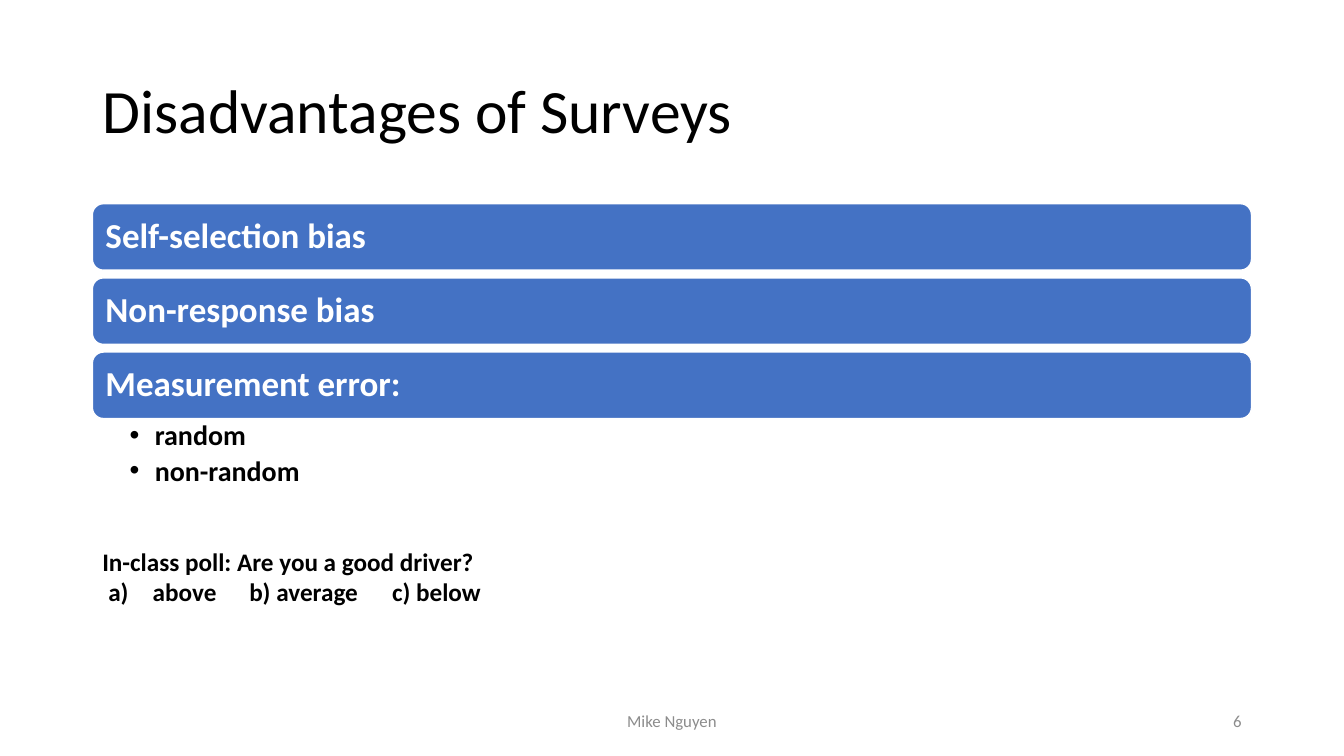
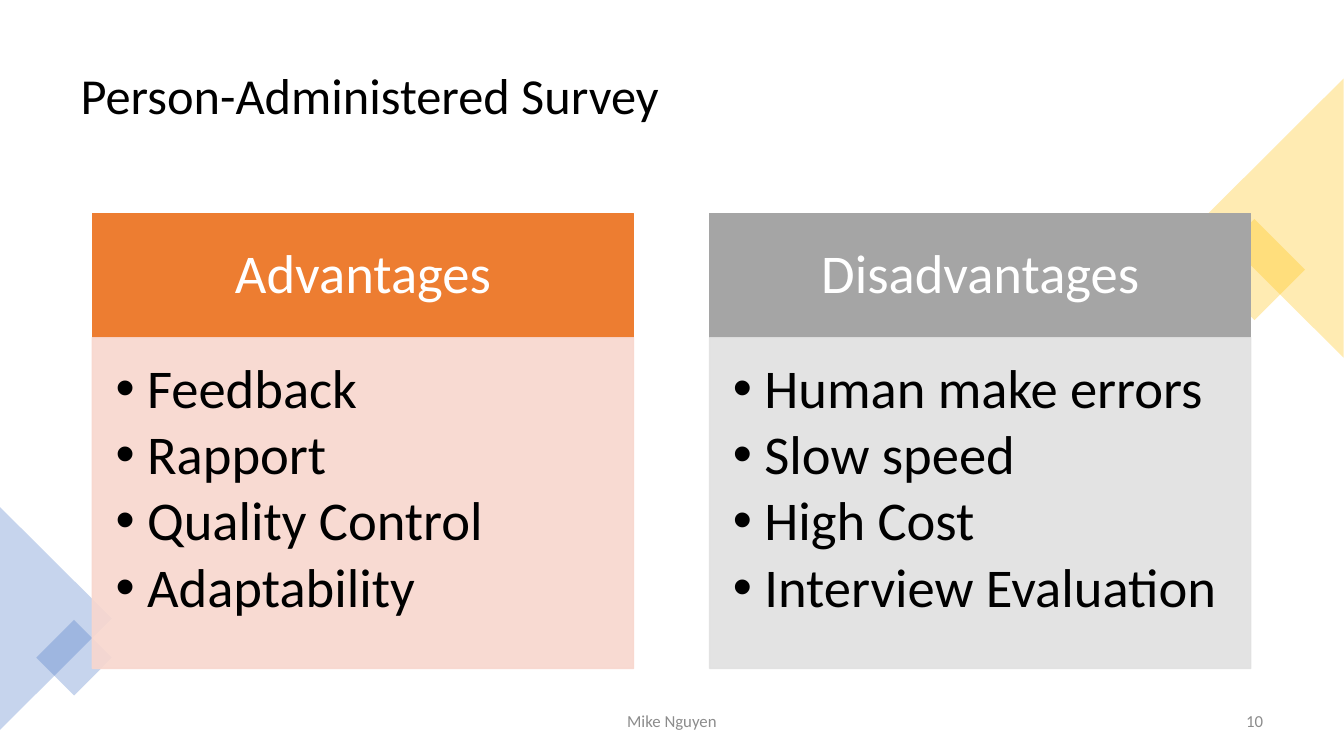
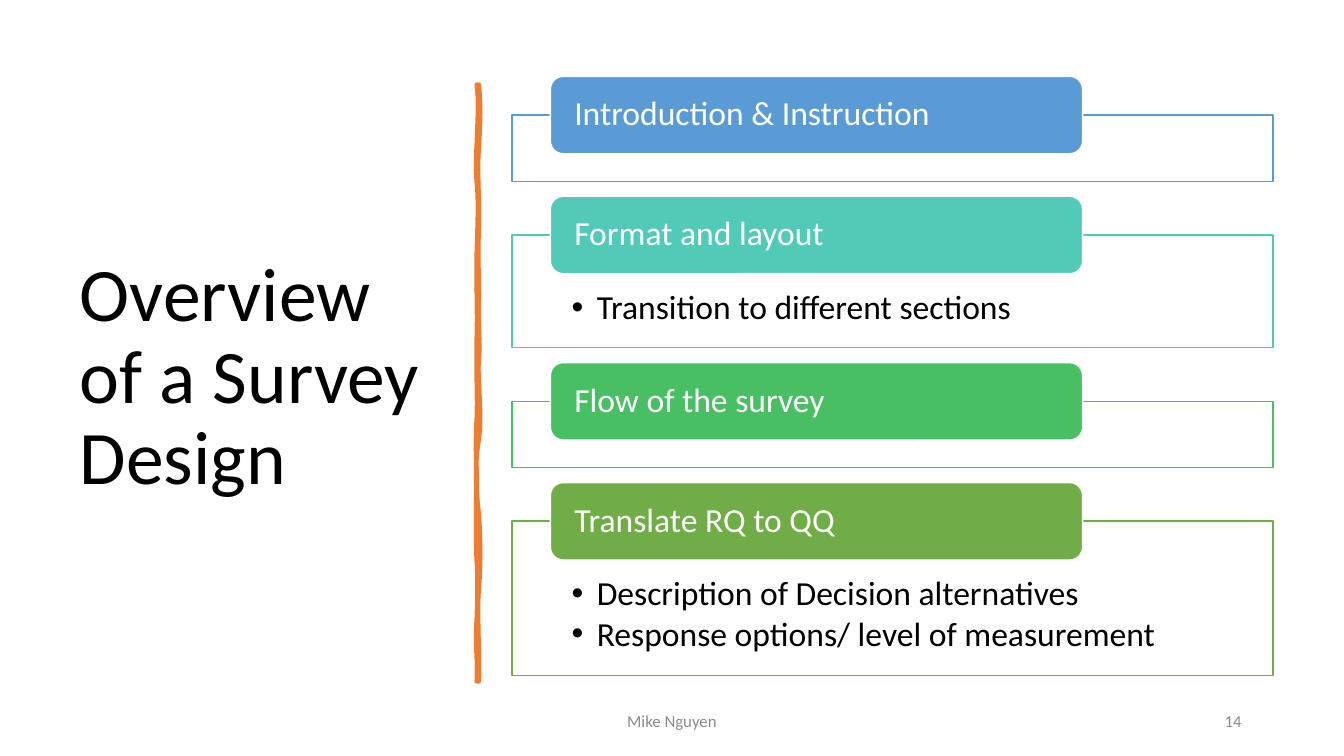
from dataclasses import dataclass

from lxml import etree
from pptx import Presentation
from pptx.dml.color import RGBColor
from pptx.enum import shapes, text
from pptx.oxml import ns
from pptx.util import Pt

RECT = shapes.MSO_SHAPE.RECTANGLE
ROUNDED = shapes.MSO_SHAPE.ROUNDED_RECTANGLE
TRIANGLE = shapes.MSO_SHAPE.ISOSCELES_TRIANGLE
LEFT, CENTER, RIGHT = text.PP_ALIGN.LEFT, text.PP_ALIGN.CENTER, text.PP_ALIGN.RIGHT
TOP, MIDDLE = text.MSO_ANCHOR.TOP, text.MSO_ANCHOR.MIDDLE


@dataclass(frozen=True)
class Theme:
    font: str = "Calibri"
    ink: str = "000000"
    paper: str = "FFFFFF"
    muted: str = "8C8C8C"
    blue: str = "4472C4"
    orange: str = "ED7D31"
    orange_tint: str = "F8D7CE"
    gray: str = "A5A5A5"
    gray_tint: str = "E1E1E1"
    gold: str = "FFC000"
    sections: tuple = ("5B9BD5", "52CAB8", "49BF64", "70AD47")
    title: float = 44
    title_small: float = 36
    title_large: float = 54
    panel: float = 39
    band: float = 25
    section: float = 24
    item: float = 20
    poll: float = 18
    footer: float = 12


THEME = Theme()
AUTHOR = "Mike Nguyen"


# Formatting helpers
def set_all(target, **values):
    for name, value in values.items():
        setattr(target, name, value)


def points(*lengths):
    return [Pt(length) for length in lengths]


def add_xml(parent, tag, **attributes):
    return etree.SubElement(parent, ns.qn(tag), attributes)


def set_fill(shape, color, opacity=100):
    shape.fill.solid()
    shape.fill.fore_color.rgb = RGBColor.from_string(color)
    set_opacity(shape.fill, opacity, shape._element.spPr.find(ns.qn("a:solidFill")))


def set_opacity(fill, opacity, solid):
    if opacity < 100:
        add_xml(solid[0], "a:alpha", val=str(opacity * 1000))


def set_line(shape, color, width=1, opacity=100):
    if color is None:
        shape.line.fill.background()
        return
    shape.line.color.rgb = RGBColor.from_string(color)
    shape.line.width = Pt(width)
    line = shape._element.spPr.find(ns.qn("a:ln"))
    set_opacity(shape.line.fill, opacity, line.find(ns.qn("a:solidFill")))


def set_frame(shape, anchor=MIDDLE, insets=(7.2, 3.6, 7.2, 3.6)):
    left, top, right, bottom = points(*insets)
    set_all(shape.text_frame, word_wrap=True, auto_size=text.MSO_AUTO_SIZE.NONE,
            vertical_anchor=anchor, margin_left=left, margin_top=top,
            margin_right=right, margin_bottom=bottom)


def set_marker(para, indent, hanging, tag, **attributes):
    properties = para._p.get_or_add_pPr()
    properties.set("marL", str(Pt(indent)))
    properties.set("indent", str(-Pt(hanging)))
    add_xml(properties, "a:buFont", typeface="Arial")
    add_xml(properties, tag, **attributes)


def write(shape, lines, size, color=THEME.ink, bold=False, align=LEFT,
          spacing=0.9, gap=0, bullet=0):
    """Fill a shape with paragraphs; bullet is the hanging indent."""
    box = shape.text_frame
    for number, line in enumerate(lines):
        para = box.add_paragraph() if number else box.paragraphs[0]
        if bullet:
            set_marker(para, bullet, bullet, "a:buChar", char="•")
        set_all(para, alignment=align, line_spacing=spacing,
                space_before=Pt(0), space_after=Pt(gap))
        span = para.add_run()
        span.text = line
        set_all(span.font, name=THEME.font, size=Pt(size), bold=bold)
        span.font.color.rgb = RGBColor.from_string(color)


# Element builders
def add_block(page, kind, place, fill, line=None, opacity=100, rotation=0):
    block = page.shapes.add_shape(kind, *points(*place))
    block.shadow.inherit = False
    block.rotation = rotation
    set_fill(block, fill, opacity)
    set_line(block, line, opacity=opacity if line == fill else 100)
    return block


def add_text(page, place, lines, size, anchor=MIDDLE, insets=(7.2, 3.6, 7.2, 3.6), **style):
    box = page.shapes.add_textbox(*points(*place))
    set_frame(box, anchor, insets)
    write(box, lines, size, **style)
    return box


def add_page(deck, title, place, size, number, number_left=678):
    page = deck.slides.add_slide(deck.slide_layouts[5])
    heading = page.shapes.title
    names = ("left", "top", "width", "height")
    set_all(heading, **dict(zip(names, points(*place))))
    set_frame(heading)
    write(heading, [title], size)
    footer = {"size": THEME.footer, "color": THEME.muted, "spacing": 1}
    add_text(page, (318, 500.4, 324, 28.8), [AUTHOR], align=CENTER, **footer)
    add_text(page, (number_left, 500.4, 216, 28.8), [str(number)], align=RIGHT, **footer)
    return page


def add_label(page, place, label, size, fill, inset, bold=False):
    tab = add_block(page, ROUNDED, place, fill, THEME.paper)
    set_frame(tab, insets=(inset, 0, inset, 0))
    write(tab, [label], size, THEME.paper, bold)


def add_panel(page, left, heading, items, color, tint):
    head = add_block(page, RECT, (left, 152.6, 386.6, 88.6), color, color)
    set_frame(head)
    write(head, [heading], THEME.panel, THEME.paper, align=CENTER)
    body = add_block(page, RECT, (left, 241.2, 386.6, 236.2), tint, tint, 90)
    set_frame(body, TOP, (16.6, 16.6, 21.6, 24.6))
    write(body, items, THEME.panel, gap=5.3, bullet=22.5)


def add_section(page, top, height, label, items, color):
    frame = add_block(page, RECT, (365.8, top, 543.6, height), THEME.paper, color, 90)
    set_frame(frame, TOP, (42.5, 39.6, 42.5, 13.7))
    write(frame, items, THEME.section, gap=3, bullet=18)
    add_label(page, (393.1, top - 27.6, 380.2, 55.3), label, THEME.section, color, 14.4)


def trace_edge(x, y, curves, steps=6):
    """Sample cubic curves whose ends all lie on the vertical at x."""
    trail = [(x, y)]
    for bend_1, y_1, bend_2, y_2, end in curves:
        for step in range(1, steps + 1):
            t = step / steps
            a, b, c, d = (1 - t) ** 3, 3 * t * (1 - t) ** 2, 3 * t * t * (1 - t), t ** 3
            trail.append((x + b * bend_1 + c * bend_2, a * y + b * y_1 + c * y_2 + d * end))
        y = end
    return trail


def add_brush_stroke(page):
    right_edge = trace_edge(342, 60.5, [
        (1.4, 73.4, 1.4, 85.7, 105.1), (-1.4, 124.6, 0.7, 140.4, 162.7),
        (-0.7, 185, 0, 188.6, 211.7), (-0.7, 234, 1.4, 246.2, 256.3),
        (-1.4, 266.4, 2.9, 298.1, 313.9), (-2.9, 329, -2.2, 348.5, 367.2),
        (1.4, 385.9, 1.4, 406.1, 420.5), (-1.4, 434.2, 0.7, 468, 486.7)])
    left_edge = trace_edge(340.6, 486.7, [
        (0.7, 465.1, -1.4, 463.7, 441.4), (0.7, 419.8, 0.7, 410.4, 401),
        (-0.7, 391.7, -0.7, 356.4, 343.4), (0, 330.5, -1.4, 320.4, 298.8),
        (0.7, 277.9, -0.7, 268.6, 241.2), (0.7, 214.6, -0.7, 202.3, 180),
        (0.7, 157, 1.4, 144, 130.3), (-2.2, 117.4, 2.9, 74.9, 60.5)])
    start, *rest = [points(*spot) for spot in right_edge + left_edge]
    builder = page.shapes.build_freeform(*start)
    builder.add_line_segments(rest, close=True)
    stroke = builder.convert_to_shape()
    stroke.shadow.inherit = False
    set_fill(stroke, THEME.orange)
    set_line(stroke, THEME.orange, 3.25)
    add_xml(stroke._element.spPr.find(ns.qn("a:ln")), "a:round")


# Slides
def build_disadvantages(deck):
    page = add_page(deck, "Disadvantages of Surveys", (66, 28.8, 828, 104.4), THEME.title, 6)
    for row, label in enumerate(("Self-selection bias", "Non-response bias", "Measurement error:")):
        add_label(page, (66, 145.5 + 53 * row, 828, 47.5), label,
                  THEME.band, THEME.blue, 7.2, bold=True)
    add_text(page, (66, 298.8, 828, 54), ["random", "non-random"], THEME.item, TOP,
             (26.6, 2.2, 13.7, 2.2), bold=True, gap=3.7, bullet=18)

    # Poll question with its options on tab stops
    poll = add_text(page, (66, 386.6, 828, 51),
                    ["In-class poll: Are you a good driver?", "above\tb) average\tc) below"],
                    THEME.poll, TOP, bold=True, spacing=1)
    options = poll.text_frame.paragraphs[1]
    set_marker(options, 36, 31.7, "a:buAutoNum", type="alphaLcParenR")
    stops = add_xml(options._p.pPr, "a:tabLst")
    for position in (105, 207):
        add_xml(stops, "a:tab", pos=str(Pt(position)), algn="l")


def build_person_administered(deck):
    page = add_page(deck, "Person-Administered Survey", (50.4, 25.2, 859, 89.3),
                    THEME.title_small, 10, number_left=693.4)
    # Corner decoration
    for kind, place, rotation, color in (
            (RECT, (870.5, 167, 51.1, 51.1), 45, THEME.gold),
            (TRIANGLE, (810, 105.8, 199.4, 100), 270, THEME.gold),
            (TRIANGLE, (-39.6, 401.8, 159.1, 79.9), 90, THEME.blue),
            (RECT, (33.8, 450.7, 38.2, 38.2), 45, THEME.blue)):
        add_block(page, kind, place, color, opacity=30, rotation=rotation)
    add_panel(page, 66, "Advantages",
              ["Feedback", "Rapport", "Quality Control", "Adaptability"],
              THEME.orange, THEME.orange_tint)
    add_panel(page, 506.9, "Disadvantages",
              ["Human make errors", "Slow speed", "High Cost", "Interview Evaluation"],
              THEME.gray, THEME.gray_tint)


def build_overview(deck):
    page = add_page(deck, "Overview of a Survey Design", (49.7, 50.4, 269.3, 440),
                    THEME.title_large, 14)
    add_brush_stroke(page)
    sections = (
        ("Introduction & Instruction", 47.5, []),
        ("Format and layout", 80.6, ["Transition to different sections"]),
        ("Flow of the survey", 47.5, []),
        ("Translate RQ to QQ", 110.2, ["Description of Decision alternatives",
                                       "Response options/ level of measurement"]))
    top, gap = 82.1, 38.2
    for (label, height, items), color in zip(sections, THEME.sections):
        add_section(page, top, height, label, items, color)
        top += height + gap


def main():
    deck = Presentation()
    set_all(deck, slide_width=Pt(960), slide_height=Pt(540))
    build_disadvantages(deck)
    build_person_administered(deck)
    build_overview(deck)
    deck.save("out.pptx")


if __name__ == "__main__":
    main()
